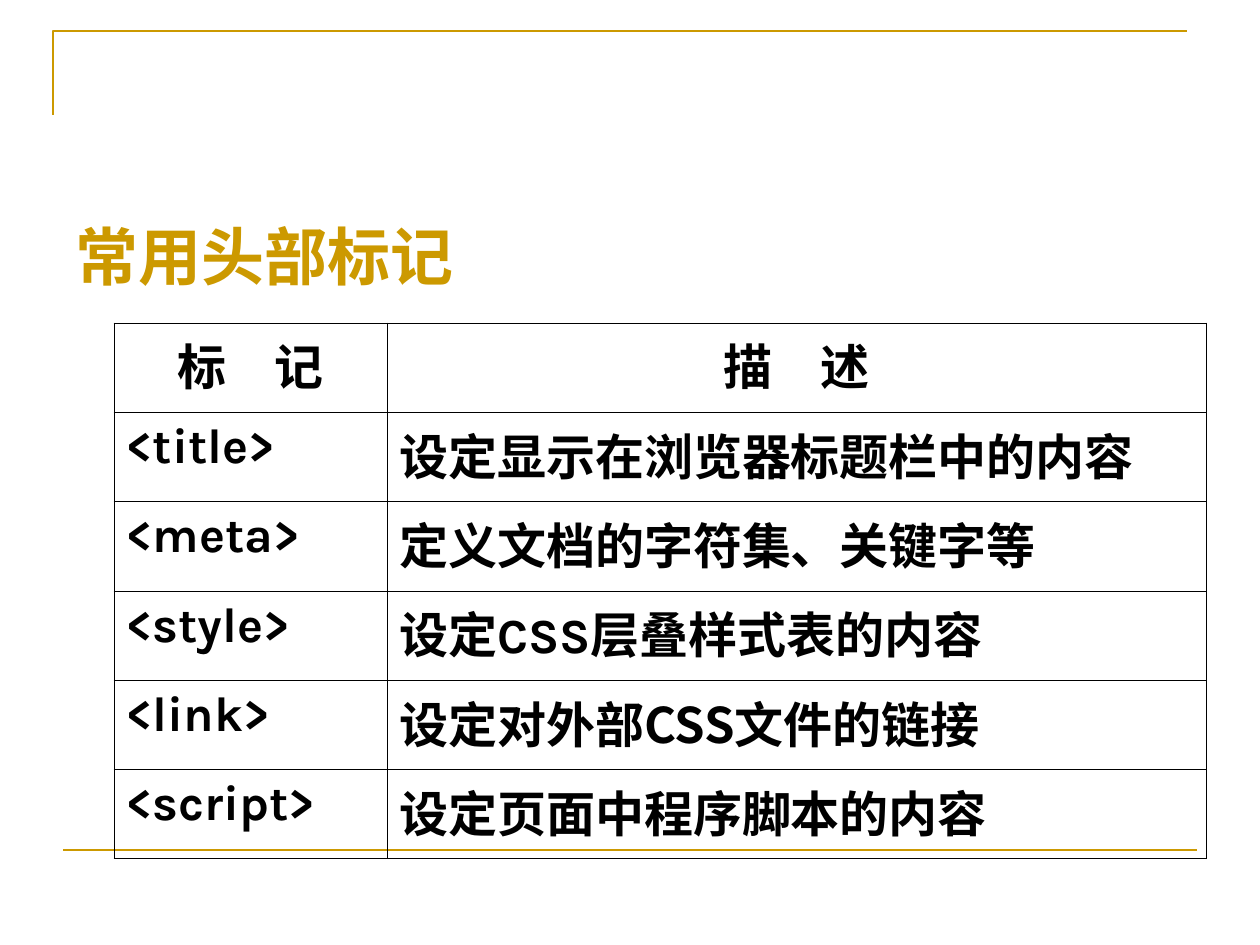
import pptx
import pptx.dml.color
import pptx.enum.shapes
import pptx.enum.text
import pptx.oxml
import pptx.oxml.ns
import pptx.util

PX = 914400 / 126
GOLD, BLACK = "CC9900", "000000"
LATIN, CHINESE = "Karla", "Noto Sans CJK SC"
ALIGN = pptx.enum.text.PP_ALIGN
A = pptx.oxml.ns.nsdecls("a")


def rgb(value):
    return pptx.dml.color.RGBColor.from_string(value)


def add_span(para, text, size, font, color):
    """Add a bold run whose Chinese glyphs use the CJK font."""
    span = para.add_run()
    span.text = text
    span.font.size = pptx.util.Pt(size)
    span.font.bold = True
    span.font.name = font
    span.font.color.rgb = rgb(color)
    span.font._element.find(pptx.oxml.ns.qn("a:latin")).addnext(
        pptx.oxml.parse_xml(f'<a:ea {A} typeface="{CHINESE}"/>'))


deck = pptx.Presentation()
deck.slide_width = round(1260 * PX)
deck.slide_height = round(945 * PX)
page = deck.slides.add_slide(deck.slide_layouts[6])

# Gold corner and footer rule
outline = page.shapes.build_freeform(53, 115, scale=PX)
outline.add_line_segments([(53, 31), (1187, 31)], close=False)
corner = outline.convert_to_shape()
corner.shadow.inherit = False
corner.fill.background()

rule = page.shapes.add_connector(
    pptx.enum.shapes.MSO_CONNECTOR.STRAIGHT,
    *[round(n * PX) for n in (63, 850, 1197, 850)])
rule._element.spPr.append(pptx.oxml.parse_xml(f"<a:effectLst {A}/>"))
for shape in (corner, rule):
    shape.line.color.rgb = rgb(GOLD)
    shape.line.width = pptx.util.Pt(1.5)

# Title
box = page.shapes.add_textbox(*[round(n * PX) for n in (63, 220, 1134, 624)])
box.text_frame.word_wrap = True
para = box.text_frame.paragraphs[0]
para.line_spacing = 0.9
add_span(para, "常用头部标记", 36, "Arial", GOLD)

# Table of head tags: tag, description, Latin font and alignment of the description
rows = [
    ("标　记", "描　述", LATIN, ALIGN.CENTER),
    ("<title>", "设定显示在浏览器标题栏中的内容", CHINESE, ALIGN.LEFT),
    ("<meta>", "定义文档的字符集、关键字等", CHINESE, ALIGN.LEFT),
    ("<style>", "设定CSS层叠样式表的内容", LATIN, ALIGN.JUSTIFY),
    ("<link>", "设定对外部CSS文件的链接", CHINESE, ALIGN.LEFT),
    ("<script>", "设定页面中程序脚本的内容", LATIN, ALIGN.JUSTIFY),
]
frame = page.shapes.add_table(
    len(rows), 2, *[round(n * PX) for n in (114, 323, 1092, 536)])
table = frame.table
table.first_row = False
table.horz_banding = False
for column, width in zip(table.columns, (273, 819)):
    column.width = round(width * PX)

for r, (tag, description, font, align) in enumerate(rows):
    tag_align = ALIGN.CENTER if r == 0 else ALIGN.LEFT
    cells = [(tag, LATIN, tag_align), (description, font, align)]
    for c, (text, cell_font, cell_align) in enumerate(cells):
        cell = table.cell(r, c)
        para = cell.text_frame.paragraphs[0]
        para.alignment = cell_align
        add_span(para, text, 28, cell_font, BLACK)
        cell.fill.background()
        properties = cell._tc.get_or_add_tcPr()
        for i, side in enumerate(("lnL", "lnR", "lnT", "lnB")):
            properties.insert(i, pptx.oxml.parse_xml(
                f'<a:{side} {A} w="{pptx.util.Pt(0.45)}"><a:solidFill>'
                f'<a:srgbClr val="{BLACK}"/></a:solidFill></a:{side}>'))

deck.save("out.pptx")
